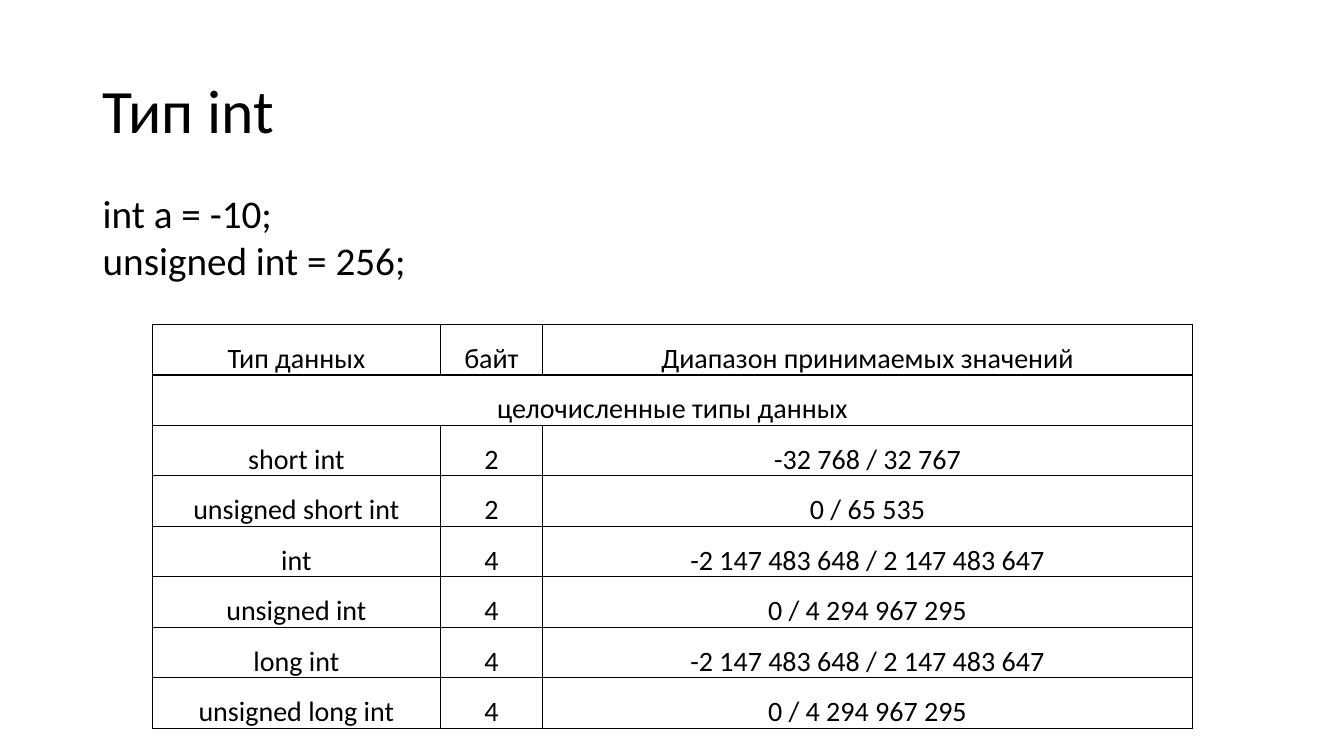
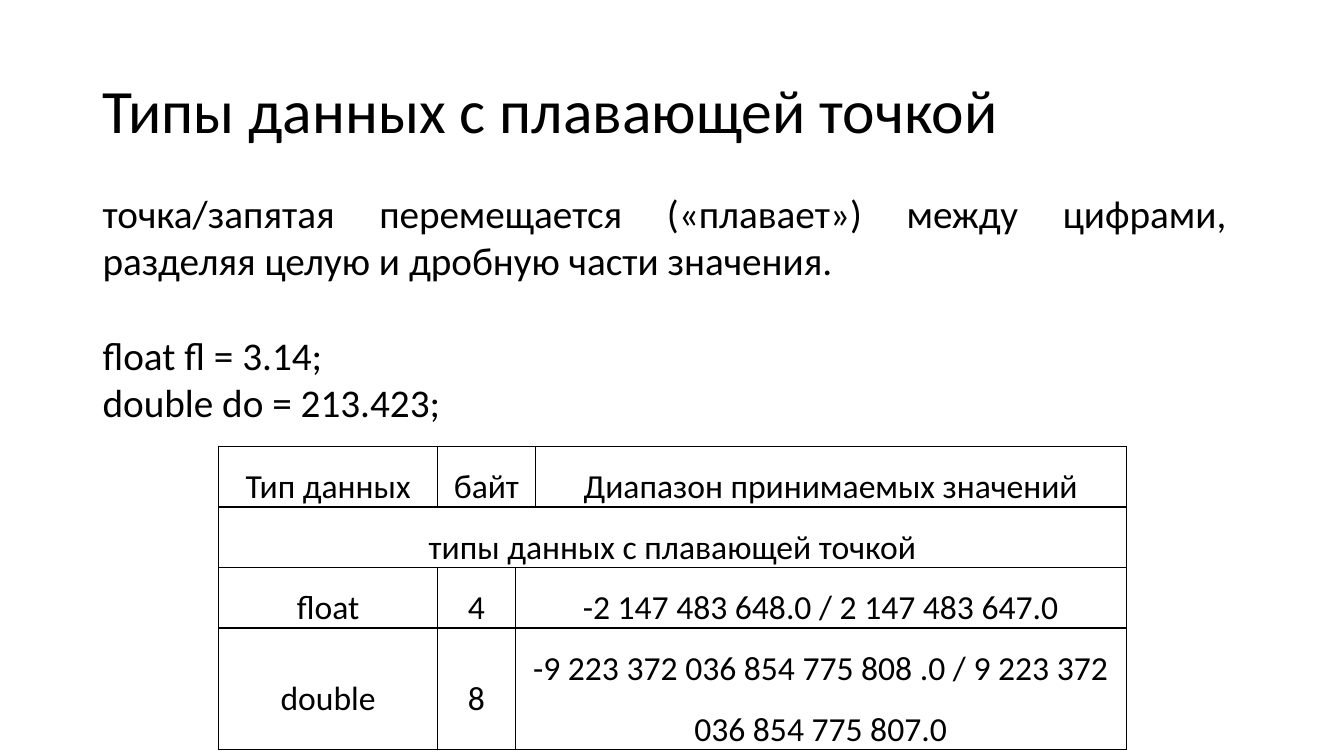
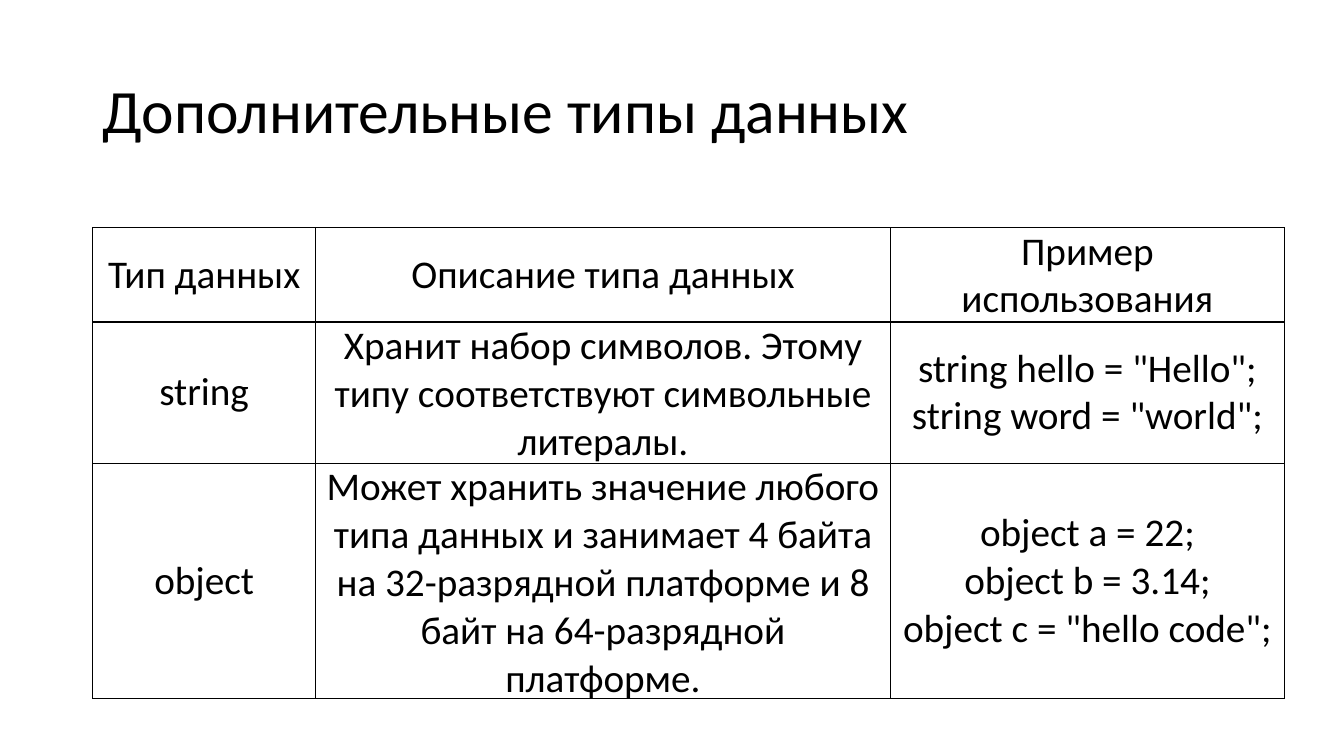
"""Three slides on data types: a title, code lines and a bordered table each."""
from lxml.etree import SubElement
from pptx import Presentation
from pptx.dml.color import RGBColor
from pptx.enum.text import MSO_ANCHOR as Anchor, PP_ALIGN as Align
from pptx.oxml.ns import qn
from pptx.util import Inches, Pt

COLORS = {"text": "000000", "border": "000000", "page": "FFFFFF"}
FONT = "Calibri"
CODE_SIZE = 28
WIDE = " / "
NARROW = " / "
HEADER = ["Тип данных", "байт", "Диапазон принимаемых значений"]
INT_RANGE = f"-2 147 483 648{WIDE}2 147 483 647"
UNSIGNED_RANGE = f"0{WIDE}4 294 967 295"

pages = [
    {
        "title": "Тип int",
        "code_box": (0.92, 1.83, 7.74, 1.04),
        "code": [("int a = -10;", 0), ("unsigned int = 256;", 0)],
        "code_align": Align.LEFT,
        "table_at": (1.51, 3.22),
        "columns": [2.86, 1.01, 6.45],
        "heights": [0.48, 0.42, 0.42, 0.48, 0.48, 0.42, 0.48, 0.48],
        "size": 20, "spacing": 1.5, "inset": 0.07,
        "rows": [
            HEADER,
            ["целочисленные типы данных", None, None],
            ["short int", "2", f"-32 768{WIDE}32 767"],
            ["unsigned short int", "2", f"0{NARROW}65 535"],
            ["int", "4", INT_RANGE],
            ["unsigned int", "4", UNSIGNED_RANGE],
            ["long int", "4", INT_RANGE],
            ["unsigned long int", "4", UNSIGNED_RANGE],
        ],
    },
    {
        "title": "Типы данных с плавающей точкой",
        "code_box": (0.92, 1.83, 11.34, 2.46),
        "code": [
            ("точка/запятая перемещается («плавает») между цифрами, "
             "разделяя целую и дробную части значения.", 0),
            ("float fl = 3.14;", 34),
            ("double do = 213.423;", 0),
        ],
        "code_align": Align.JUSTIFY,
        "table_at": (2.17, 4.43),
        "columns": [2.17, 0.77, 0.2, 5.86],
        "heights": [0.26, 0.26, 0.26, 0.55],
        "size": 24, "spacing": 1.5, "inset": 0.06,
        "rows": [
            [HEADER[0], HEADER[1], None, HEADER[2]],
            ["типы данных с плавающей точкой", None, None, None],
            ["float", "4", f"-2 147 483 648.0{NARROW}2 147 483 647.0", None],
            ["double", "8", f"-9 223 372 036 854 775 808 .0{WIDE}"
             "9 223 372 036 854 775 807.0", None],
        ],
    },
    {
        "title": "Дополнительные типы данных",
        "code": [],
        "table_at": (0.92, 2.26),
        "columns": [2.21, 5.7, 3.91],
        "heights": [0.89, 1.36, 2.3],
        "size": 28, "spacing": 1.0, "inset": 0.07,
        "rows": [
            [HEADER[0], "Описание типа данных", "Пример использования"],
            ["string",
             "Хранит набор символов. Этому типу соответствуют символьные литералы.",
             'string hello = "Hello";\nstring word = "world";'],
            ["object",
             "Может хранить значение любого типа данных и занимает 4 байта "
             "на 32-разрядной платформе и 8 байт на 64-разрядной платформе.",
             'object a = 22;\nobject b = 3.14;\nobject c = "hello code";'],
        ],
    },
]


def write(frame, lines, size, align=Align.LEFT, spacing=1.0):
    frame.word_wrap = True
    for index, (text, before) in enumerate(lines):
        para = frame.add_paragraph() if index else frame.paragraphs[0]
        para.alignment = align
        para.line_spacing = spacing
        para.space_before = Pt(before)
        span = para.add_run()
        span.text = text
        span.font.name = FONT
        span.font.size = Pt(size)
        span.font.color.rgb = RGBColor.from_string(COLORS["text"])


def add_borders(cell):
    properties = cell._tc.get_or_add_tcPr()
    for side in ("lnL", "lnR", "lnT", "lnB"):
        line = SubElement(properties, qn(f"a:{side}"), w=str(Pt(1)))
        fill = SubElement(line, qn("a:solidFill"))
        SubElement(fill, qn("a:srgbClr"), val=COLORS["border"])


deck = Presentation()
deck.slide_width = Inches(13.33)
deck.slide_height = Inches(7.5)

for content in pages:
    page = deck.slides.add_slide(deck.slide_layouts[6])
    page.background.fill.solid()
    page.background.fill.fore_color.rgb = RGBColor.from_string(COLORS["page"])

    title = page.shapes.add_textbox(Inches(0.92), Inches(0.4), Inches(11.5), Inches(1.45))
    title.text_frame.vertical_anchor = Anchor.MIDDLE
    write(title.text_frame, [(content["title"], 0)], 44, spacing=0.9)

    columns, heights = content["columns"], content["heights"]
    left, top = content["table_at"]
    table = page.shapes.add_table(
        len(heights), len(columns), Inches(left), Inches(top),
        Inches(sum(columns)), Inches(sum(heights))).table
    table.first_row = False
    table.horz_banding = False
    for column, width in zip(table.columns, columns):
        column.width = Inches(width)
    for row, height in zip(table.rows, heights):
        row.height = Inches(height)

    for r, texts in enumerate(content["rows"]):
        for c, text in enumerate(texts):
            cell = table.cell(r, c)
            add_borders(cell)
            cell.fill.background()
            cell.margin_left = cell.margin_right = Inches(content["inset"])
            cell.margin_top = cell.margin_bottom = 0
            cell.vertical_anchor = Anchor.MIDDLE
            if text is None:
                continue
            last = c
            while last + 1 < len(texts) and texts[last + 1] is None:
                last += 1
            if last > c:
                cell.merge(table.cell(r, last))
            write(cell.text_frame, [(line, 0) for line in text.split("\n")],
                  content["size"], Align.CENTER, content["spacing"])

    if content["code"]:
        code = page.shapes.add_textbox(*map(Inches, content["code_box"]))
        write(code.text_frame, content["code"], CODE_SIZE, content["code_align"])

deck.save("out.pptx")
